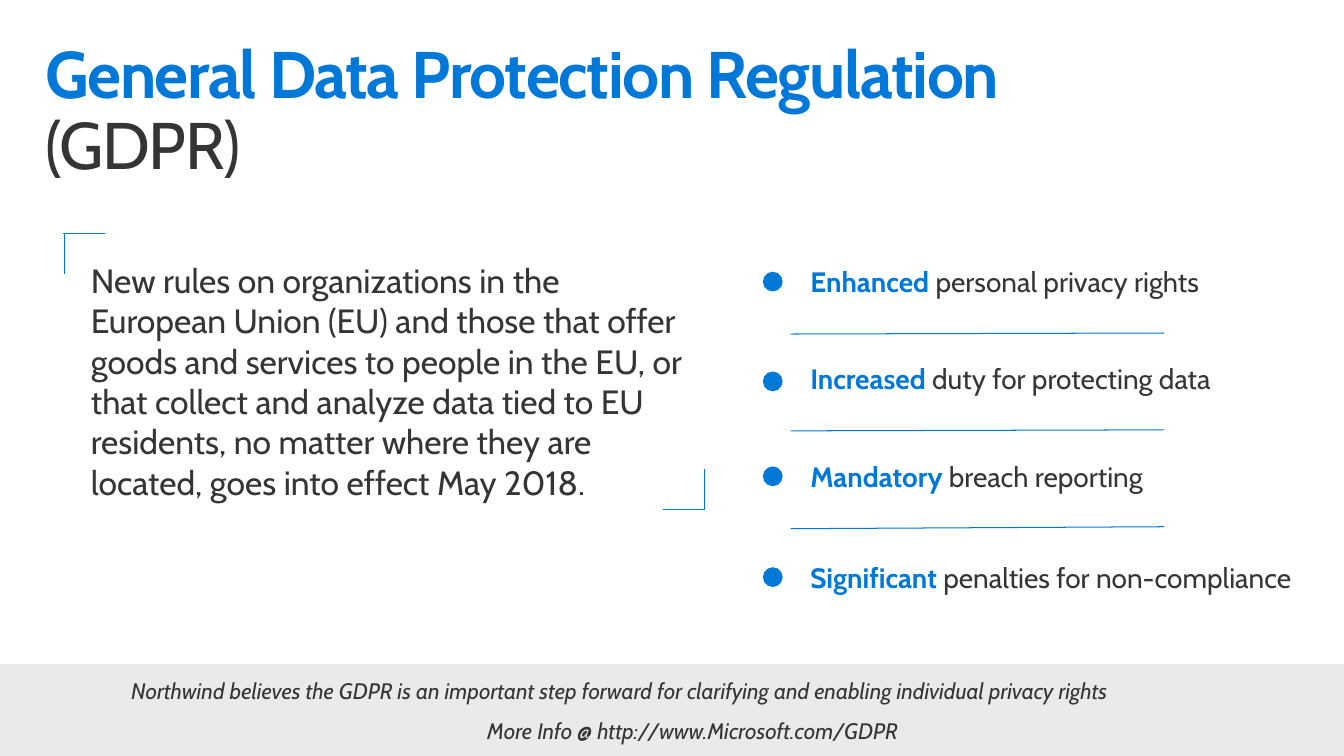
from dataclasses import dataclass

from lxml.etree import SubElement
from pptx import Presentation
from pptx.dml.color import RGBColor
from pptx.enum.shapes import MSO_CONNECTOR, MSO_SHAPE
from pptx.enum.text import MSO_ANCHOR, MSO_AUTO_SIZE, PP_ALIGN
from pptx.oxml.ns import qn
from pptx.slide import Slide
from pptx.text.text import TextFrame, _Paragraph
from pptx.util import Inches, Pt

FONT = "Cabin"
COLORS = {"blue": "0078D7", "text": "353535", "band": "EAEAEA"}


@dataclass
class Right:
    lead: str
    rest: str
    top: float
    width: float
    dot_top: float


@dataclass
class Line:
    x1: float
    y1: float
    x2: float
    y2: float


RIGHTS = [
    Right("Enhanced ", "personal privacy rights", 2.56, 5.06, 2.75),
    Right("Increased ", "duty for protecting data", 3.54, 5.6, 3.76),
    Right("Mandatory ", "breach reporting", 4.53, 4.53, 4.72),
    Right("Significant ", "penalties for non-compliance", 5.55, 5.6, 5.74),
]
CORNERS = [
    Line(0.65, 2.37, 0.65, 2.77),
    Line(0.64, 2.36, 1.06, 2.36),
    Line(7.13, 5.16, 7.13, 4.75),
    Line(7.13, 5.16, 6.71, 5.16),
]
DIVIDERS = [
    Line(8, 3.38, 11.78, 3.37),
    Line(8, 4.36, 11.78, 4.35),
    Line(8, 5.35, 11.78, 5.33),
]
RULES = (
    "New rules on organizations in the European Union (EU) and those that offer "
    "goods and services to people in the EU, or that collect and analyze data tied "
    "to EU residents, no matter where they are located, goes into effect May 2018."
)
FOOTER = [
    ("Northwind believes the GDPR is an important step forward for clarifying "
     "and enabling individual privacy rights", PP_ALIGN.LEFT),
    ("More Info @ http://www.Microsoft.com/GDPR", PP_ALIGN.CENTER),
]


def rgb(name: str) -> RGBColor:
    return RGBColor.from_string(COLORS[name])


def set_frame(tf: TextFrame, side: float, end: float) -> None:
    tf.word_wrap = True
    tf.auto_size = MSO_AUTO_SIZE.NONE
    tf.vertical_anchor = MSO_ANCHOR.TOP
    tf.margin_left = tf.margin_right = Inches(side)
    tf.margin_top = tf.margin_bottom = Inches(end)


def add_text(s: Slide, left: float, top: float, width: float, height: float,
             side: float = 0.2, end: float = 0.16) -> TextFrame:
    box = s.shapes.add_textbox(Inches(left), Inches(top), Inches(width), Inches(height))
    set_frame(box.text_frame, side, end)
    return box.text_frame


def set_font(p: _Paragraph, size: float) -> None:
    p.font.name = FONT
    p.font.size = Pt(size)
    p.font.color.rgb = rgb("text")


def add_lead(p: _Paragraph, lead: str, rest: str, size: float) -> None:
    set_font(p, size)
    p.line_spacing = 0.9
    for text, color, bold in ((lead, "blue", True), (rest, "text", False)):
        r = p.add_run()
        r.text = text
        r.font.name = FONT
        r.font.size = Pt(size)
        r.font.bold = bold
        r.font.color.rgb = rgb(color)


def add_shape(s: Slide, kind: MSO_SHAPE, left: float, top: float, width: float,
              height: float, color: str) -> None:
    sp = s.shapes.add_shape(kind, Inches(left), Inches(top), Inches(width), Inches(height))
    sp.shadow.inherit = False
    sp.fill.solid()
    sp.fill.fore_color.rgb = rgb(color)
    sp.line.fill.background()


def add_line(s: Slide, line: Line) -> None:
    c = s.shapes.add_connector(MSO_CONNECTOR.STRAIGHT, Inches(line.x1), Inches(line.y1),
                               Inches(line.x2), Inches(line.y2))
    c.line.color.rgb = rgb("blue")
    c.line.width = Pt(0.75)
    SubElement(c._element.spPr, qn("a:effectLst"))


def add_title(s: Slide) -> None:
    title = s.shapes.title
    title.left, title.top = Inches(0.3), Inches(0.32)
    title.width, title.height = Inches(11.82), Inches(1)
    set_frame(title.text_frame, 0.16, 0.1)
    p = title.text_frame.paragraphs[0]
    p.alignment = PP_ALIGN.LEFT
    add_lead(p, "General Data Protection Regulation ", "(GDPR)", 48)
    for r in p.runs:
        r._r.get_or_add_rPr().set("spc", "-100")


def add_right(s: Slide, right: Right) -> None:
    p = add_text(s, 8, right.top, right.width, 0.64).paragraphs[0]
    p.space_after = Pt(6.1)
    add_lead(p, right.lead, right.rest, 20.4)
    add_shape(s, MSO_SHAPE.OVAL, 7.72, right.dot_top, 0.2, 0.2, "blue")


def add_footer(s: Slide) -> None:
    tf = add_text(s, 1.23, 6.78, 11.56, 0.8, 0.1, 0.05)
    for i, (text, align) in enumerate(FOOTER):
        p = tf.add_paragraph() if i else tf.paragraphs[0]
        p.text = text
        p.alignment = align
        p.line_spacing = 1.07
        p.space_after = Pt(8.2)
        set_font(p, 16.3)
        p.font.italic = True


def main() -> None:
    prs = Presentation()
    prs.slide_width, prs.slide_height = Inches(13.6), Inches(7.65)
    s = prs.slides.add_slide(prs.slide_layouts[5])
    add_shape(s, MSO_SHAPE.RECTANGLE, 0, 6.72, 13.6, 0.93, "band")
    add_title(s)
    for line in CORNERS + DIVIDERS:
        add_line(s, line)
    for right in RIGHTS:
        add_right(s, right)
    p = add_text(s, 0.72, 2.47, 6.41, 2.79).paragraphs[0]
    p.text = RULES
    set_font(p, 24.5)
    add_footer(s)
    prs.save("out.pptx")


if __name__ == "__main__":
    main()
